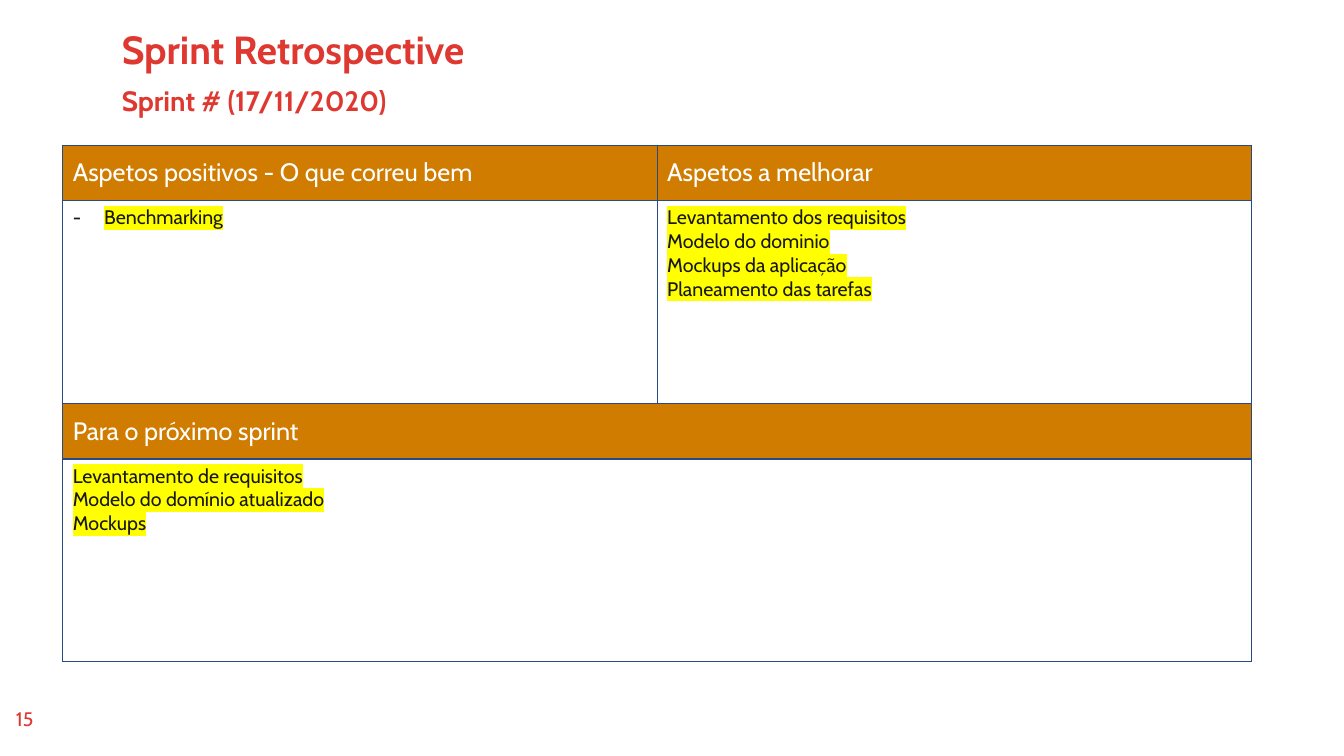
from lxml.etree import SubElement
from pptx import Presentation
from pptx.dml.color import RGBColor
from pptx.enum.text import MSO_ANCHOR as Anchor, PP_ALIGN as Align
from pptx.oxml.ns import qn
from pptx.util import Cm, Pt

COLOURS = {"red": "DE3831", "orange": "D07C00", "white": "FFFFFF",
           "ink": "181717", "yellow": "FFFF00", "border": "264A81"}
TITLE = {"size": Pt(28), "bold": True}
SUBTITLE = {"size": Pt(20), "bold": True}
NUMBER = {"size": Pt(14)}
HEADING = {"size": Pt(18)}
ITEM = {"size": Pt(14)}


def write(para, text, colour, style):
    span = para.add_run()
    span.text = text
    span.font.name = "Cabin"
    span.font.color.rgb = RGBColor.from_string(COLOURS[colour])
    for name, value in style.items():
        setattr(span.font, name, value)
    return span


def add_solid(parent, tag, colour):
    solid = SubElement(parent, qn(tag))
    SubElement(solid, qn("a:srgbClr"), val=COLOURS[colour])
    return solid


deck = Presentation()
deck.slide_width, deck.slide_height = Cm(33.87), Cm(19.05)
page = deck.slides.add_slide(deck.slide_layouts[6])

# Title, subtitle and page number
for left, top, width, height, text, style, align, spacing in [
    (2.82, 0.64, 26.44, 1.14, "Sprint Retrospective", TITLE, Align.LEFT, 0.9),
    (2.82, 2.08, 26.44, 1.07, "Sprint # (17/11/2020)", SUBTITLE, Align.LEFT, 0.9),
    (0.03, 17.7, 1.19, 1.02, "15", NUMBER, Align.CENTER, 1.0),
]:
    box = page.shapes.add_textbox(Cm(left), Cm(top), Cm(width), Cm(height))
    box.text_frame.word_wrap = True
    para = box.text_frame.paragraphs[0]
    para.alignment = align
    para.line_spacing = spacing
    write(para, text, "red", style)

# Table grid: heading rows alternate with content rows
table = page.shapes.add_table(4, 2, Cm(1.58), Cm(3.66), Cm(29.96), Cm(13.02)).table
for column in table.columns:
    column.width = Cm(14.98)
for index, row in enumerate(table.rows):
    is_heading = index % 2 == 0
    row.height = Cm(1.4 if is_heading else 5.11)
    for cell in row.cells:
        properties = cell._tc.get_or_add_tcPr()
        for side in ("a:lnL", "a:lnR", "a:lnT", "a:lnB"):
            line = SubElement(properties, qn(side), w=str(Pt(1)))
            add_solid(line, "a:solidFill", "border")
        cell.fill.solid()
        cell.fill.fore_color.rgb = RGBColor.from_string(
            COLOURS["orange" if is_heading else "white"])
        cell.vertical_anchor = Anchor.MIDDLE if is_heading else Anchor.TOP
for index in (2, 3):
    table.cell(index, 0).merge(table.cell(index, 1))

# Headings
for row, column, text in [
    (0, 0, "Aspetos positivos - O que correu bem"),
    (0, 1, "Aspetos a melhorar"),
    (2, 0, "Para o próximo sprint"),
]:
    para = table.cell(row, column).text_frame.paragraphs[0]
    write(para, text, "white", HEADING)

# Highlighted items
for row, column, bullet, items in [
    (1, 0, "-", ["Benchmarking"]),
    (1, 1, None, ["Levantamento dos requisitos", "Modelo do dominio",
                  "Mockups da aplicação", "Planeamento das tarefas"]),
    (3, 0, None, ["Levantamento de requisitos", "Modelo do domínio atualizado",
                  "Mockups"]),
]:
    frame = table.cell(row, column).text_frame
    for index, text in enumerate(items):
        para = frame.add_paragraph() if index else frame.paragraphs[0]
        if bullet:
            layout = para._p.get_or_add_pPr()
            layout.set("marL", str(Cm(0.79)))
            layout.set("indent", str(-Cm(0.79)))
            SubElement(layout, qn("a:buFont"), typeface="Cabin")
            SubElement(layout, qn("a:buChar"), char=bullet)
        span = write(para, text, "ink", ITEM)
        style = span.font._element if hasattr(span.font, "_element") else span._r.rPr
        highlight = add_solid(style, "a:highlight", "yellow")
        style.find(qn("a:solidFill")).addnext(highlight)

deck.save("out.pptx")
